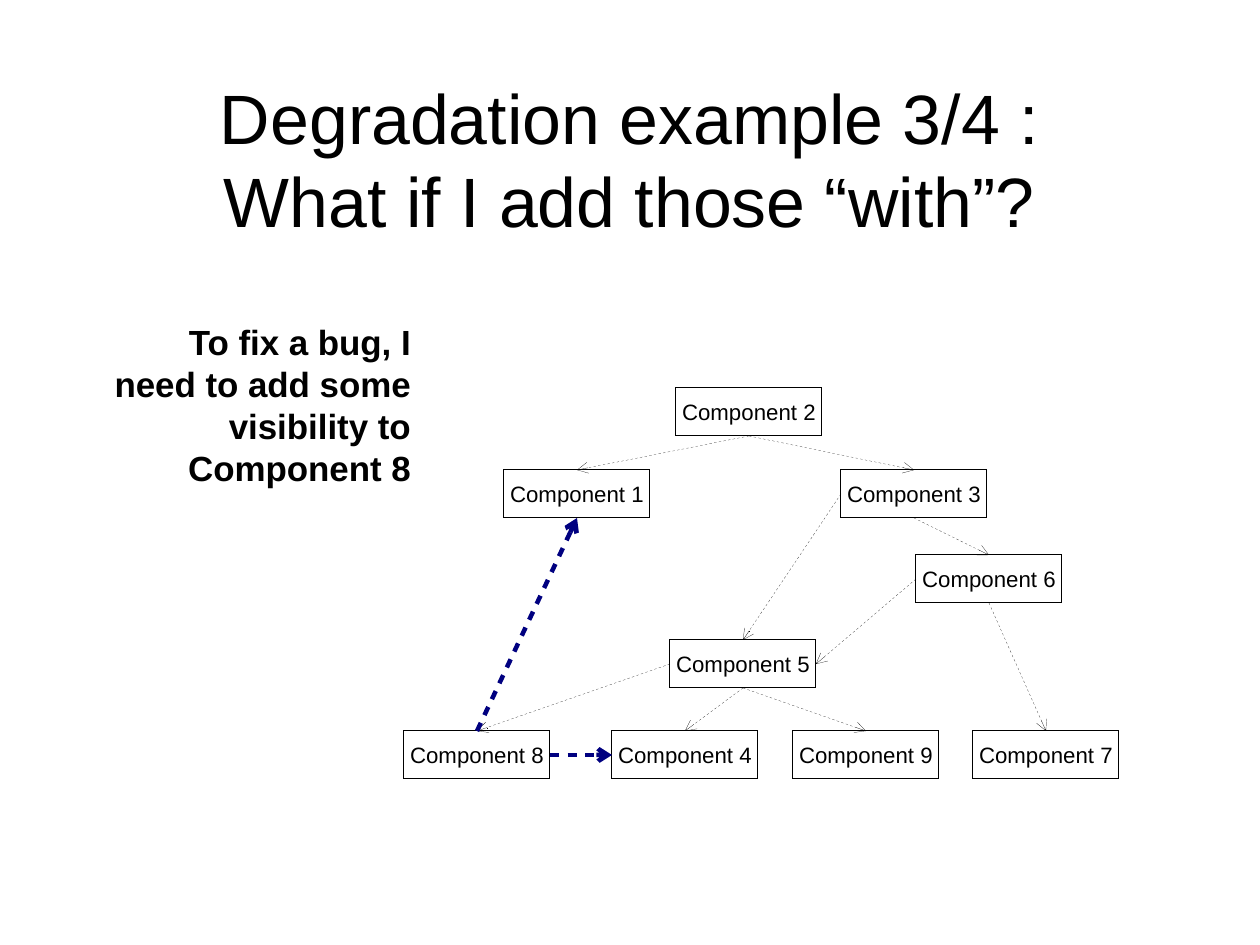
from dataclasses import dataclass
from enum import IntEnum

from lxml.etree import SubElement
from pptx import Presentation
from pptx.dml.color import RGBColor
from pptx.dml.line import LineFormat
from pptx.enum.shapes import MSO_CONNECTOR as Line, MSO_SHAPE as Preset
from pptx.enum.text import MSO_ANCHOR as Anchor, MSO_AUTO_SIZE as AutoSize, PP_ALIGN as Align
from pptx.oxml.ns import qn
from pptx.oxml.xmlchemy import BaseOxmlElement
from pptx.shapes.autoshape import Shape
from pptx.slide import Slide
from pptx.text.text import TextFrame, _Paragraph as Paragraph
from pptx.util import Emu, Pt

PX = 8000  # the slide is 1260 by 945 px, 280 by 210 mm
BOX_W, BOX_H = 146, 48
BLACK, NAVY = "000000", "000080"
BOTTOM_ROW = 731


class Side(IntEnum):
    """Connection sites of a rectangle."""
    TOP = 0
    LEFT = 1
    BOTTOM = 2
    RIGHT = 3


@dataclass(frozen=True)
class Component:
    number: int
    x: int
    y: int


@dataclass(frozen=True)
class Dependency:
    source: int
    source_side: Side
    target: int
    target_side: Side
    color: str = BLACK
    width: float = 0


COMPONENTS = [
    Component(1, 504, 470),
    Component(3, 841, 470),
    Component(2, 676, 388),
    Component(4, 612, BOTTOM_ROW),
    Component(6, 916, 555),
    Component(5, 670, 640),
    Component(7, 973, BOTTOM_ROW),
    Component(9, 793, BOTTOM_ROW),
    Component(8, 404, BOTTOM_ROW),
]

DEPENDENCIES = [
    Dependency(3, Side.LEFT, 5, Side.TOP),
    Dependency(3, Side.BOTTOM, 6, Side.TOP),
    Dependency(5, Side.BOTTOM, 9, Side.TOP),
    Dependency(5, Side.BOTTOM, 4, Side.TOP),
    Dependency(5, Side.LEFT, 8, Side.TOP),
    Dependency(2, Side.BOTTOM, 3, Side.TOP),
    Dependency(2, Side.BOTTOM, 1, Side.TOP),
    Dependency(6, Side.BOTTOM, 7, Side.TOP),
    Dependency(6, Side.LEFT, 5, Side.RIGHT),
    Dependency(8, Side.TOP, 1, Side.BOTTOM, NAVY, 2.83),
    Dependency(8, Side.RIGHT, 4, Side.LEFT, NAVY, 2.83),
]


def px(n: int) -> Emu:
    return Emu(n * PX)


def rgb(color: str) -> RGBColor:
    return RGBColor.from_string(color)


def set_line(line: LineFormat, color: str, width: float) -> BaseOxmlElement:
    """Format the line and return its XML; a zero width is written out too."""
    line.color.rgb = rgb(color)
    ln = line._get_or_add_ln()
    ln.set("w", str(int(Pt(width))))
    return ln


def setup_frame(tf: TextFrame, anchor: Anchor, inset: int = 0) -> None:
    tf.word_wrap = True
    tf.auto_size = AutoSize.NONE
    tf.vertical_anchor = anchor
    tf.margin_left = tf.margin_top = tf.margin_right = tf.margin_bottom = px(inset)


def add_run(p: Paragraph, text: str, size: int, bold: bool = False) -> None:
    r = p.add_run()
    r.text = text
    r.font.name = "Arial"
    r.font.size = Pt(size)
    r.font.bold = bold
    r.font.color.rgb = rgb(BLACK)


def add_title(s: Slide) -> None:
    title = s.shapes.title
    title.left, title.top, title.width, title.height = px(92), px(71), px(1076), px(174)
    setup_frame(title.text_frame, Anchor.MIDDLE)
    p = title.text_frame.paragraphs[0]
    p.alignment = Align.CENTER
    add_run(p, "Degradation example 3/4 :", 44)
    p.add_line_break()
    add_run(p, "What if I add those “with”?", 44)


def add_component(s: Slide, component: Component) -> Shape:
    sp = s.shapes.add_shape(Preset.RECTANGLE, px(component.x), px(component.y),
                            px(BOX_W), px(BOX_H))
    sp.shadow.inherit = False
    sp.fill.background()
    set_line(sp.line, BLACK, 0)
    setup_frame(sp.text_frame, Anchor.MIDDLE, 5)
    p = sp.text_frame.paragraphs[0]
    p.alignment = Align.CENTER
    add_run(p, f"Component {component.number}", 14)
    return sp


def add_dependency(s: Slide, dep: Dependency, boxes: dict[int, Shape]) -> None:
    """Draw a dashed arrow glued to the two components."""
    arrow = s.shapes.add_connector(Line.STRAIGHT, 0, 0, 0, 0)
    arrow.begin_connect(boxes[dep.source], dep.source_side)
    arrow.end_connect(boxes[dep.target], dep.target_side)
    ln = set_line(arrow.line, dep.color, dep.width)
    dashes = SubElement(ln, qn("a:custDash"))
    SubElement(dashes, qn("a:ds"), d="200000", sp="190000")
    SubElement(ln, qn("a:tailEnd"), type="arrow")
    SubElement(arrow._element.spPr, qn("a:effectLst"))


def add_remark(s: Slide) -> None:
    tf = s.shapes.add_textbox(px(113), px(321), px(298), px(181)).text_frame
    setup_frame(tf, Anchor.TOP)
    p = tf.paragraphs[0]
    p.alignment = Align.RIGHT
    add_run(p, "To fix a bug, I need to add some visibility to Component 8", 22, bold=True)


def main() -> None:
    prs = Presentation()
    prs.slide_width, prs.slide_height = px(1260), px(945)
    s = prs.slides.add_slide(prs.slide_layouts.get_by_name("Title Only"))
    add_title(s)
    boxes = {c.number: add_component(s, c) for c in COMPONENTS}
    for dep in DEPENDENCIES:
        add_dependency(s, dep, boxes)
    add_remark(s)
    prs.save("out.pptx")


if __name__ == "__main__":
    main()
